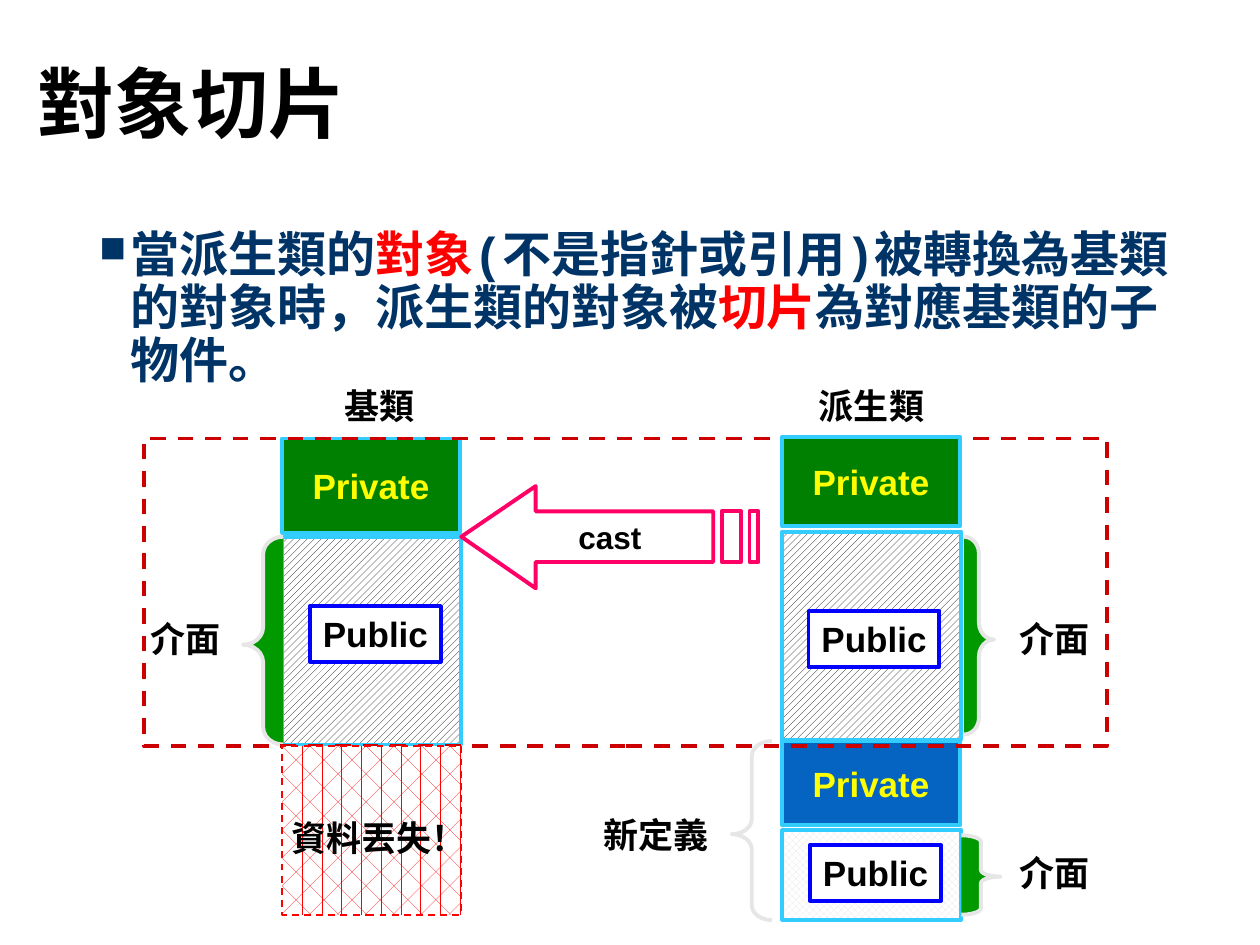
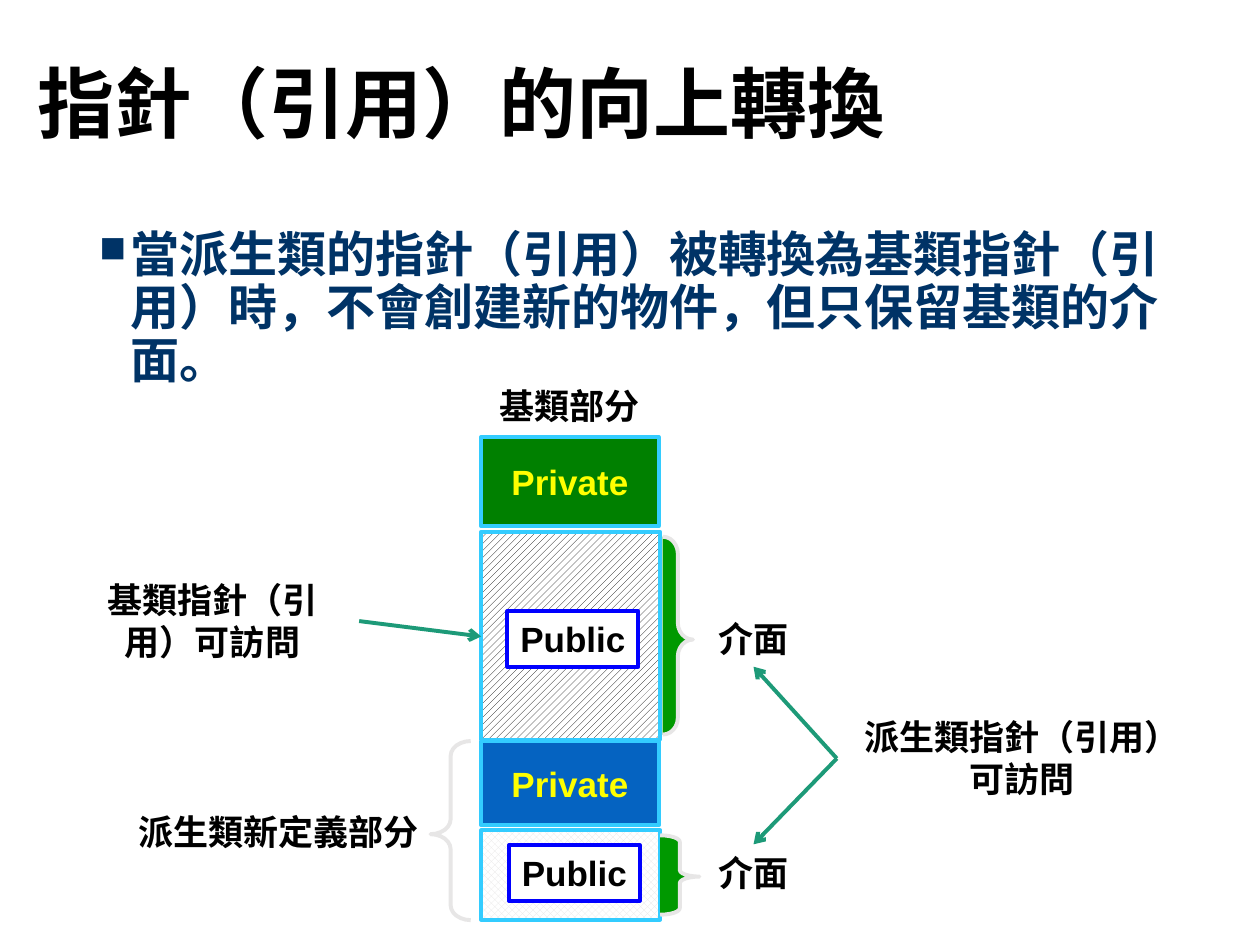
from pptx import Presentation
from pptx import util as u
from pptx.dml.color import RGBColor
from pptx.enum import dml, shapes, text
from pptx.oxml.ns import qn
from lxml import etree

# Shared look
COLORS = {
    "black": "000000", "white": "FFFFFF", "navy": "003366", "red": "FF0000",
    "yellow": "FFFF00", "green": "008000", "brace": "009900", "blue": "0563C1",
    "sky": "33CCFF", "gray": "E7E6E6", "label": "0000FF", "pink": "FF0066",
    "frame": "CC0000", "arrow": "1D9A78",
}
CJK_FONT = "Noto Sans CJK SC"
RECTANGLE = shapes.MSO_SHAPE.RECTANGLE
HATCH = (dml.MSO_PATTERN.WIDE_UPWARD_DIAGONAL, "black")
DIAMOND = (dml.MSO_PATTERN.SOLID_DIAMOND, "gray")
DIVOT = (dml.MSO_PATTERN.DIVOT, "red")

# Style: preset, fill, line colour, line width, dashed
STYLES = {
    "base private": (RECTANGLE, "green", "sky", 2.25, False),
    "new private": (RECTANGLE, "blue", "sky", 2.25, False),
    "base public": (RECTANGLE, HATCH, "sky", 2.25, False),
    "new public": (RECTANGLE, DIAMOND, "sky", 2.25, False),
    "public label": (RECTANGLE, "white", "label", 2.25, False),
    "left brace": (shapes.MSO_SHAPE.LEFT_BRACE, "brace", "gray", 2.25, False),
    "right brace": (shapes.MSO_SHAPE.RIGHT_BRACE, "brace", "gray", 2.25, False),
    "open brace": (shapes.MSO_SHAPE.LEFT_BRACE, None, "gray", 2.25, False),
    "frame": (RECTANGLE, None, "frame", 2.25, True),
    "lost": (RECTANGLE, DIVOT, "red", 1, True),
}

# Parts: style, text or brace curvature, x from the column's left, y, width, height
DERIVED_BACK = [
    ("base public", "", 0, 10.72, 3.61, 4.19),
    ("new public", "", 0, 16.74, 3.61, 1.8),
    ("open brace", 0.374, -1.02, 14.94, 0.81, 3.61),
    ("new private", "Private", 0, 14.94, 3.58, 1.7),
    ("label", "介面", 4.52, 12.32, 1.93, 1.12),
    ("label", "介面", 4.52, 17.04, 1.93, 1.12),
    ("right brace", 0.556, 3.66, 10.82, 0.61, 3.99),
    ("right brace", 0.167, 3.61, 16.84, 0.79, 1.6),
]
DERIVED_FRONT = [
    ("base private", "Private", 0, 8.81, 3.58, 1.8),
    ("public label", "Public", 0.53, 12.32, 2.64, 1.12),
    ("public label", "Public", 0.56, 17.04, 2.64, 1.12),
]
BASE_CLASS = [
    ("base public", "", 0, 10.82, 3.61, 4.19),
    ("base private", "Private", 0, 8.84, 3.58, 1.9),
    ("label", "基類", 0.99, 7.62, 1.93, 1.12),
    ("public label", "Public", 0.56, 12.22, 2.64, 1.12),
    ("left brace", 0.436, -0.79, 10.82, 0.81, 4.19),
    ("label", "介面", -2.92, 12.32, 1.93, 1.12),
]
SLICED_PARTS = [
    ("frame", "", -2.79, 8.84, 19.41, 6.2),
    ("lost", "", 0, 15.04, 3.61, 3.4),
    ("label", "資料丟失！", -0.08, 16.33, 4.06, 1.12),
]
SLICING_LABELS = [
    ("label", "派生類", 0.48, 7.62, 2.64, 1.12),
    ("label", "新定義", -3.86, 16.28, 2.64, 1.12),
]
UPCAST_LABELS = [
    ("label", "基類部分", 0.1, 7.62, 3.38, 1.12),
    ("lato label", "派生類新定義部分", -7.21, 16.21, 6.25, 1.12),
    ("wrapped label", "派生類指針（引用）可訪問", 7.16, 14.3, 7.49, 1.96),
    ("wrapped label", "基類指針（引用）可訪問", -8.36, 11.53, 5.89, 1.96),
]

# Each slide: title, runs of the bullet, then its own drawing
SLICING = {
    "title": "對象切片",
    "bullet": [("當派生類的", "navy"), ("對象", "red"),
               ("(不是指針或引用)被轉換為基類的對象時，派生類的對象被", "navy"),
               ("切片", "red"), ("為對應基類的子物件。", "navy")],
    "layers": [(BASE_CLASS, 5.69), (DERIVED_BACK, 15.77), (SLICING_LABELS, 15.77),
               (SLICED_PARTS, 5.69), (DERIVED_FRONT, 15.77)],
    "cast": [
        [(10.8, 11.86), (10.8, 11.33), (14.38, 11.33), (14.38, 10.31),
         (10.8, 10.31), (10.8, 9.8), (9.3, 10.82)],
        [(14.94, 11.33), (14.94, 10.31), (14.55, 10.31), (14.55, 11.33)],
        [(15.29, 11.33), (15.29, 10.31), (15.11, 10.31), (15.11, 11.33)],
    ],
    "arrows": [],
}
UPCAST = {
    "title": "指針（引用）的向上轉換",
    "bullet": [("當派生類的指針（引用）被轉換為基類指針（引用）時，"
                "不會創建新的物件，但只保留基類的介面。", "navy")],
    "layers": [(DERIVED_BACK, 9.7), (DERIVED_FRONT, 9.7), (UPCAST_LABELS, 9.7)],
    "cast": [],
    "arrows": [((7.24, 12.52), (9.7, 12.83)), ((16.87, 15.29), (15.19, 13.44)),
               ((16.87, 15.29), (15.19, 17.02))],
}


def rgb(name):
    return RGBColor.from_string(COLORS[name])


def cm(*values):
    return [u.Cm(value) for value in values]


def format_run(run, size, font_name, color):
    run.font.size, run.font.bold = u.Pt(size), True
    run.font.name = font_name
    run.font.color.rgb = rgb(color)
    east_asian = etree.SubElement(run.font._element, qn("a:ea"))
    east_asian.set("typeface", CJK_FONT)


def write_label(shape, words, color, size=20, font_name="Arial", middle=False, wrap=False):
    frame = shape.text_frame
    frame.text = words
    frame.word_wrap = wrap
    frame.vertical_anchor = text.MSO_ANCHOR.MIDDLE if middle else text.MSO_ANCHOR.TOP
    paragraph = frame.paragraphs[0]
    paragraph.alignment = text.PP_ALIGN.CENTER
    format_run(paragraph.runs[0], size, font_name, color)


def paint(shape, fill, line, width, dashed=False):
    shape.shadow.inherit = False
    if fill is None:
        shape.fill.background()
    elif isinstance(fill, tuple):
        shape.fill.patterned()
        shape.fill.pattern, foreground = fill
        shape.fill.fore_color.rgb = rgb(foreground)
        shape.fill.back_color.rgb = rgb("white")
    else:
        shape.fill.solid()
        shape.fill.fore_color.rgb = rgb(fill)
    shape.line.color.rgb = rgb(line)
    shape.line.width = u.Pt(width)
    if dashed:
        shape.line.dash_style = dml.MSO_LINE.DASH


def draw_parts(slide, parts, left):
    for style, content, x, y, width, height in parts:
        box = cm(left + x, y, width, height)
        if style not in STYLES:
            write_label(slide.shapes.add_textbox(*box), content, "black",
                        font_name="Lato" if style == "lato label" else "Arial",
                        wrap=style == "wrapped label")
            continue
        preset, *look = STYLES[style]
        shape = slide.shapes.add_shape(preset, *box)
        paint(shape, *look)
        if style.endswith("brace"):
            shape.adjustments[0], shape.adjustments[1] = content, 0.52
        elif content:
            private = style.endswith("private")
            write_label(shape, content, "yellow" if private else "black", middle=private)


def draw_cast(slide, outlines):
    builder = None
    for outline in outlines:
        start, *others = [cm(*point) for point in outline]
        if builder is None:
            builder = slide.shapes.build_freeform(*start)
        else:
            builder.move_to(*start)
        builder.add_line_segments(others, close=True)
    shape = builder.convert_to_shape()
    paint(shape, None, "pink", 2.25)
    write_label(shape, "cast", "black", size=18, middle=True)


def draw_arrow(slide, start, end):
    connector = slide.shapes.add_connector(
        shapes.MSO_CONNECTOR.STRAIGHT, *cm(*start, *end))
    connector.line.color.rgb = rgb("arrow")
    connector.line.width = u.Pt(2.25)
    etree.SubElement(connector.line._get_or_add_ln(), qn("a:tailEnd")).set("type", "arrow")
    etree.SubElement(connector._element.spPr, qn("a:effectLst"))


def add_heading(slide, words):
    frame = slide.shapes.add_textbox(*cm(0.51, 0.33, 21.89, 3.68)).text_frame
    frame.text = words
    frame.word_wrap = True
    frame.vertical_anchor = text.MSO_ANCHOR.MIDDLE
    paragraph = frame.paragraphs[0]
    paragraph.line_spacing = 0.9
    format_run(paragraph.runs[0], 44, CJK_FONT, "black")


def add_bullet(slide, runs):
    frame = slide.shapes.add_textbox(*cm(1.75, 4.52, 22.76, 13.18)).text_frame
    frame.word_wrap = True
    paragraph = frame.paragraphs[0]
    paragraph.line_spacing = 0.9
    properties = paragraph._p.get_or_add_pPr()
    properties.set("marL", str(u.Cm(0.64)))
    properties.set("indent", str(u.Cm(-0.64)))
    etree.SubElement(properties, qn("a:buSzPct")).set("val", "75000")
    etree.SubElement(properties, qn("a:buChar")).set("char", "■")
    for words, color in runs:
        run = paragraph.add_run()
        run.text = words
        format_run(run, 28, "Courier New", color)


def main():
    presentation = Presentation()
    presentation.slide_width, presentation.slide_height = cm(25.4, 19.05)
    for page in (SLICING, UPCAST):
        slide = presentation.slides.add_slide(presentation.slide_layouts[6])
        add_heading(slide, page["title"])
        add_bullet(slide, page["bullet"])
        for parts, left in page["layers"]:
            draw_parts(slide, parts, left)
        if page["cast"]:
            draw_cast(slide, page["cast"])
        for start, end in page["arrows"]:
            draw_arrow(slide, start, end)
    presentation.save("out.pptx")


if __name__ == "__main__":
    main()
